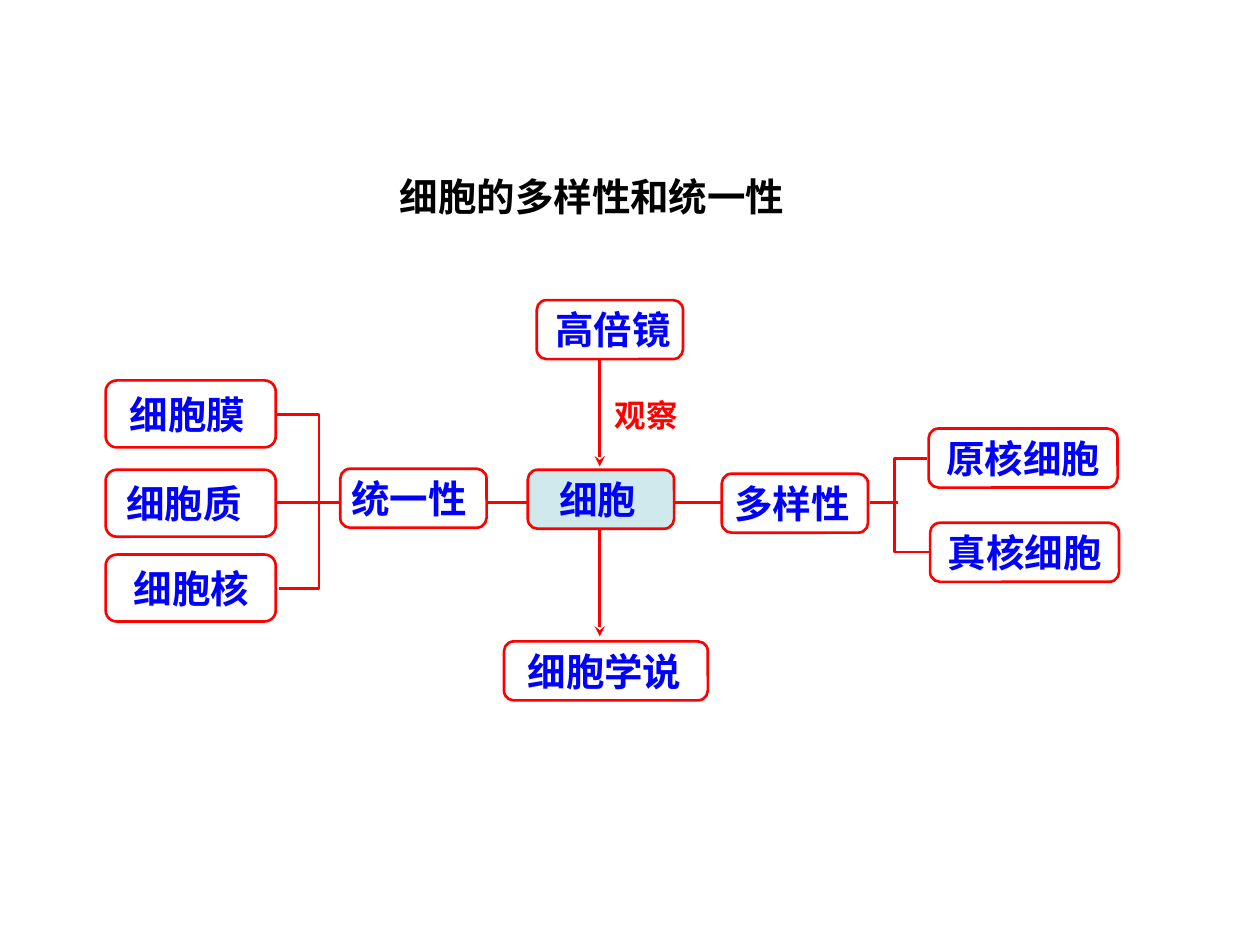
from lxml.etree import SubElement
from pptx import Presentation
from pptx.dml.color import RGBColor
from pptx.enum.shapes import MSO_CONNECTOR as Link, MSO_SHAPE as Preset
from pptx.enum.text import MSO_ANCHOR as Anchor, PP_ALIGN as Align
from pptx.oxml.ns import qn
from pptx.util import Cm, Pt

COLORS = {"line": "FF0000", "label": "FF0000", "node": "0000FF",
          "title": "000000", "core": "BBE0E3"}
SANS = "Noto Sans CJK SC"
SERIF = "Times New Roman"


class ConceptMap:
    def __init__(self, slide):
        self.slide = slide
        self.line_width = Pt(1.5)

    def color(self, name):
        return RGBColor.from_string(COLORS[name])

    def set_text(self, shape, text, color, font=SANS, size=22, align=Align.LEFT):
        frame = shape.text_frame
        frame.text = text
        frame.word_wrap = True
        frame.vertical_anchor = Anchor.MIDDLE
        frame.margin_top = frame.margin_bottom = 0
        para = frame.paragraphs[0]
        para.alignment = align
        span = para.runs[0]
        span.font.name = font
        span.font.size = Pt(size)
        span.font.bold = True
        span.font.color.rgb = self.color(color)
        SubElement(span.font._element, qn("a:ea")).set("typeface", SANS)

    def title(self, text, left, top, width, height):
        box = self.slide.shapes.title
        box.left, box.top, box.width, box.height = map(Cm, (left, top, width, height))
        self.set_text(box, text, "title", align=Align.CENTER)

    def label(self, text, left, top, width, height):
        box = self.slide.shapes.add_textbox(*map(Cm, (left, top, width, height)))
        self.set_text(box, text, "label", SERIF, 18)

    def node(self, text, left, top, width, height, indent, font=SANS, fill=None):
        box = self.slide.shapes.add_shape(
            Preset.ROUNDED_RECTANGLE, *map(Cm, (left, top, width, height)))
        box.shadow.inherit = False
        if fill:
            box.fill.solid()
            box.fill.fore_color.rgb = self.color(fill)
            tint = box._element.spPr.find(".//" + qn("a:srgbClr"))
            SubElement(tint, qn("a:alpha")).set("val", "68000")
        else:
            box.fill.background()
        box.line.color.rgb = self.color("line")
        box.line.width = self.line_width
        self.set_text(box, text, "node", font)
        box.text_frame.margin_left = Cm(indent)
        box.text_frame.margin_right = 0

    def connect(self, x1, y1, x2, y2, kind=Link.STRAIGHT):
        line = self.slide.shapes.add_connector(kind, *map(Cm, (x1, y1, x2, y2)))
        line.line.color.rgb = self.color("line")
        line.line.width = self.line_width
        SubElement(line._element.spPr, qn("a:effectLst"))
        return line

    def arrow(self, x, top, bottom):
        line = self.connect(x, top, x, bottom)
        outline = line._element.spPr.find(qn("a:ln"))
        SubElement(outline, qn("a:tailEnd")).set("type", "stealth")

    def bracket(self, x, top, bottom, reach):
        step = 0.03
        line = self.connect(x, top, x + step, bottom, Link.ELBOW)
        guides = line._element.spPr.find(qn("a:prstGeom")).get_or_add_avLst()
        guide = SubElement(guides, qn("a:gd"))
        guide.set("name", "adj1")
        guide.set("fmla", f"val {round(reach / step * 100000)}")


def main():
    deck = Presentation()
    deck.slide_width, deck.slide_height = Cm(25.4), Cm(19.05)
    page = ConceptMap(deck.slides.add_slide(deck.slide_layouts[5]))

    page.title("细胞的多样性和统一性", 2.51, 3.35, 18.85, 1.19)

    short, tall = 1.19, 1.35
    page.node("细胞", 10.64, 9.47, 2.95, short, 0.58, fill="core")
    page.node("高倍镜", 10.82, 6.05, 2.95, short, 0.32)
    page.node("细胞学说", 10.16, 12.93, 4.11, short, 0.42, SERIF)
    page.node("统一性", 6.86, 9.45, 2.95, short, 0.17)
    page.node("多样性", 14.55, 9.55, 2.95, short, 0.2, SERIF)

    for text, top, indent, font in (("细胞膜", 7.67, 0.42, SANS),
                                    ("细胞质", 9.47, 0.35, SERIF),
                                    ("细胞核", 11.18, 0.5, SERIF)):
        page.node(text, 2.13, top, 3.43, tall, indent, font)
    for text, left, top in (("原核细胞", 18.72, 8.64), ("真核细胞", 18.75, 10.54)):
        page.node(text, left, top, 3.81, short, 0.3, SERIF)

    page.arrow(12.09, 7.26, 9.4)
    page.arrow(12.09, 10.69, 12.83)
    page.label("观察", 12.14, 7.85, 1.91, 1.02)

    axis = 10.13
    for start, end in ((5.54, 6.83), (9.8, 10.62), (13.59, 14.53), (17.53, 18.11)):
        page.connect(start, axis, end, axis)
    page.bracket(5.59, 8.36, 11.86, 0.84)
    page.bracket(18.69, 9.25, 11.13, -0.66)

    deck.save("out.pptx")


if __name__ == "__main__":
    main()
